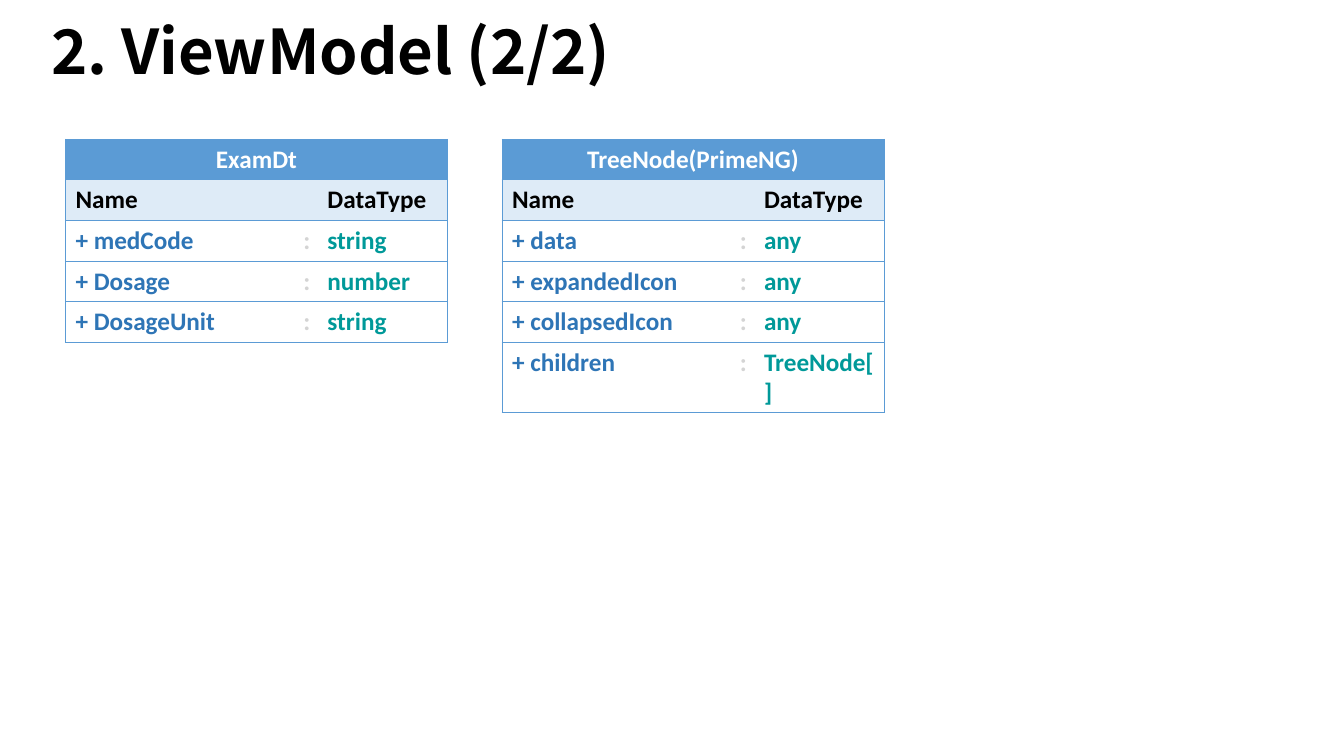
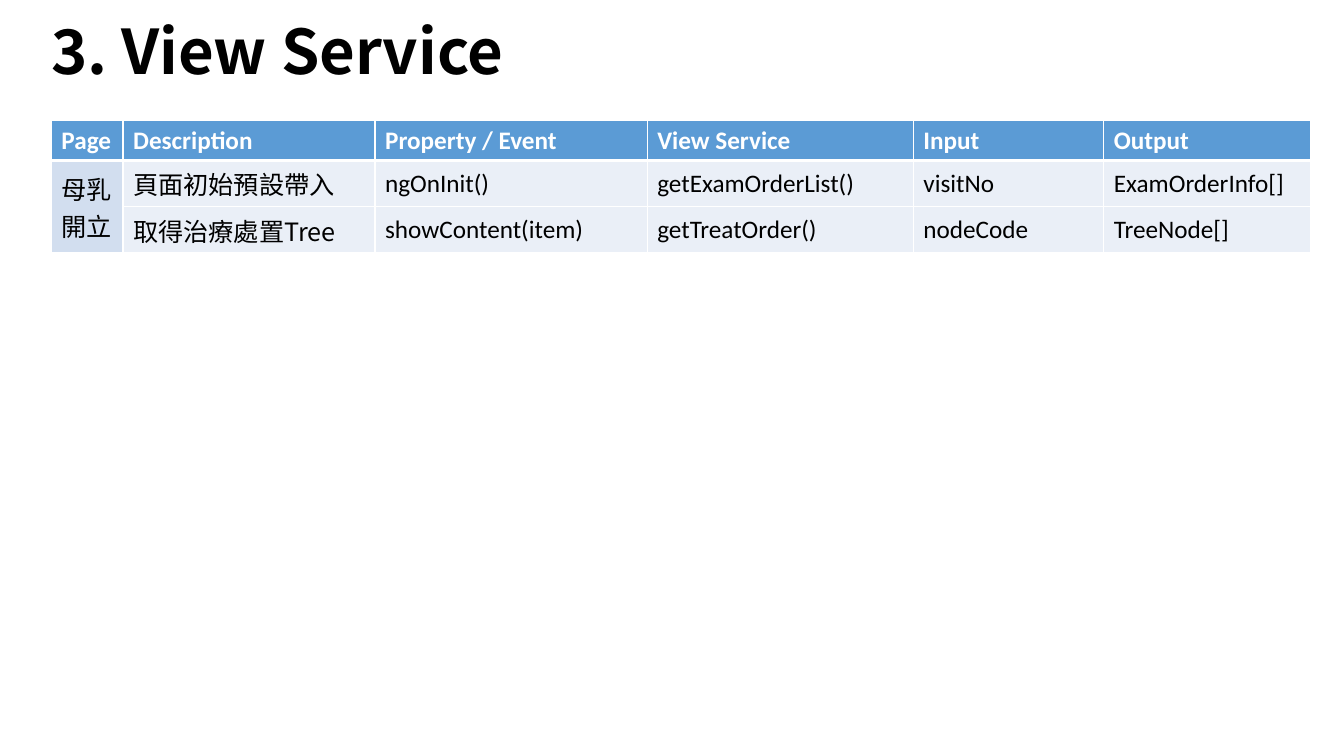
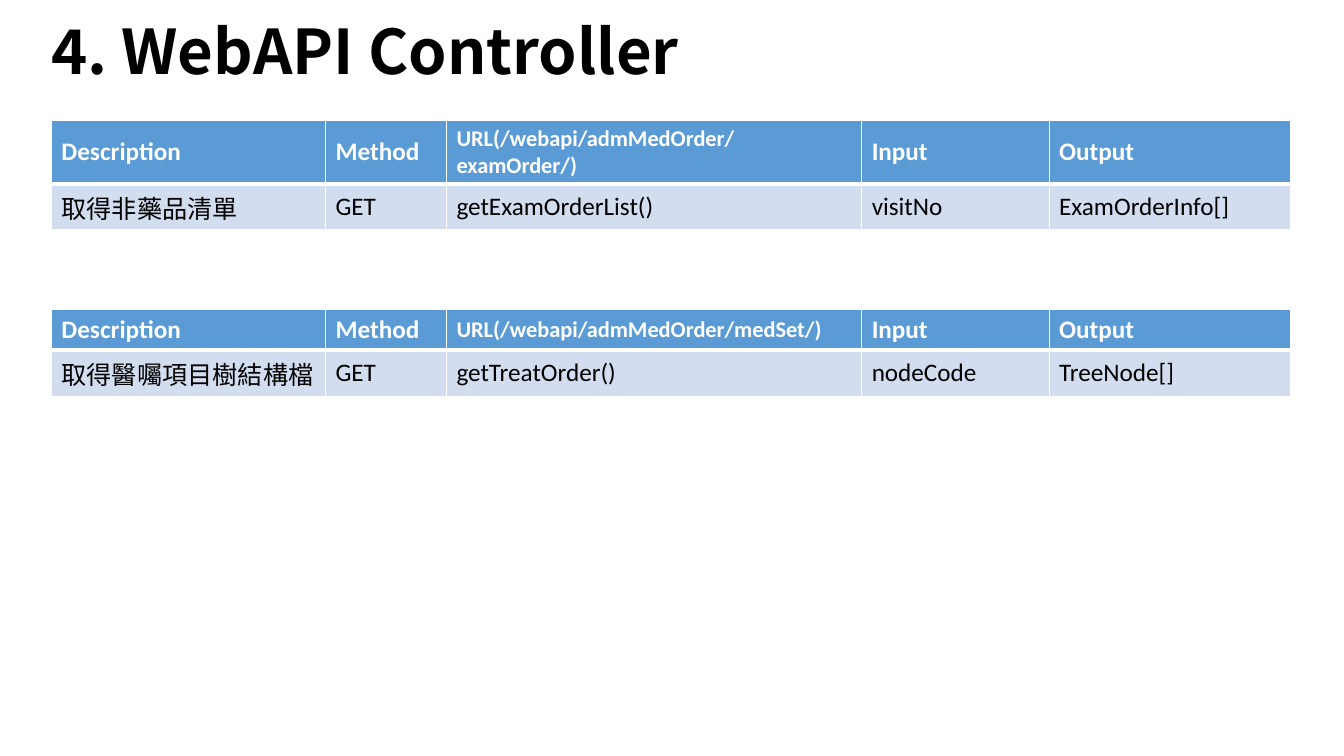
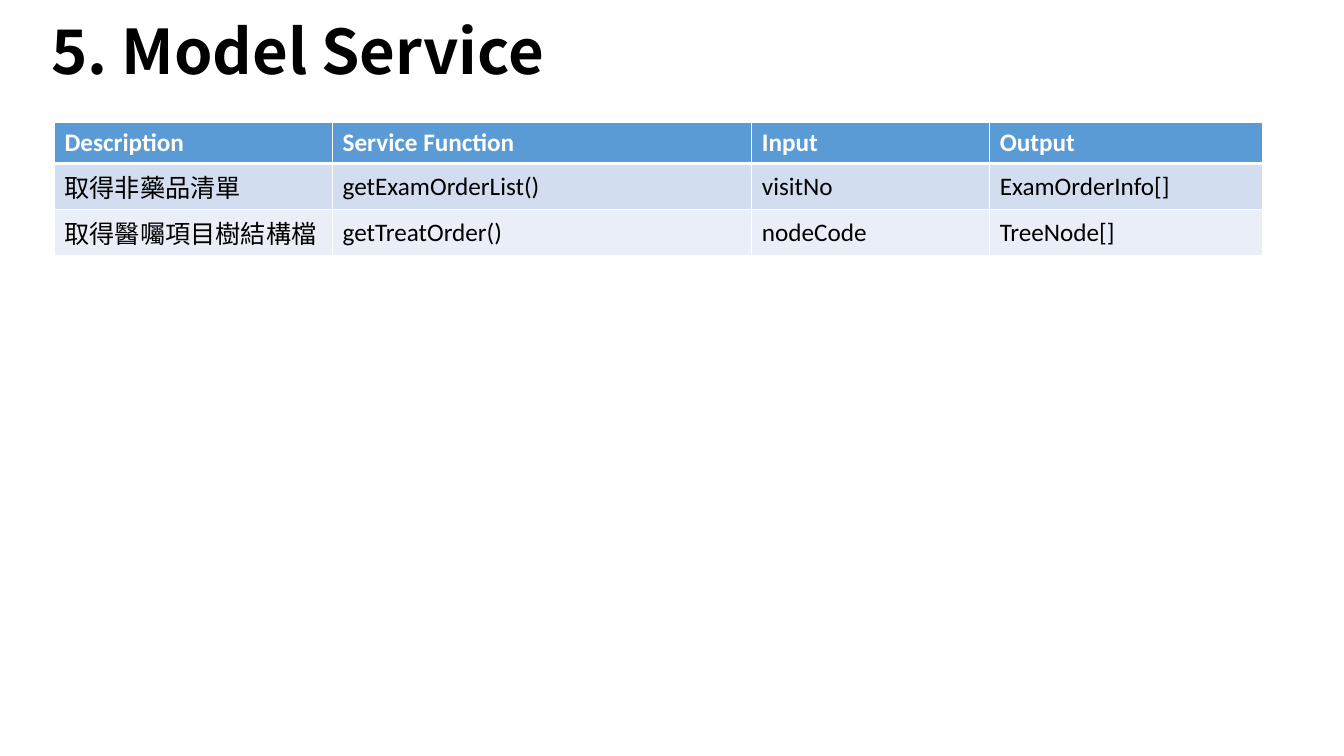
from lxml.etree import SubElement
from pptx import Presentation
from pptx.dml.color import RGBColor
from pptx.enum.text import MSO_ANCHOR as Anchor, PP_ALIGN as Align
from pptx.oxml.ns import qn
from pptx.util import Pt

LATIN, CJK = "Calibri", "Noto Sans CJK SC"
BLUE, DARK_BLUE, TEAL, GREY = "5B9BD5", "2E75B6", "009999", "D4D4D4"
HEADING, BAND, PALE = "DEEBF7", "D2DEEF", "EAEFF7"
WHITE, BLACK = "FFFFFF", "000000"
HEADER_HEIGHT, CLASS_ROW, SERVICE_ROW = 29, 29, 33
TABLE_LEFT, TABLE_TOP = 36.7, 85.7
API_WIDTHS = (195.8, 86.4, 296.6, 133.9, 172.8)


def rgb(value):
    return RGBColor.from_string(value)


def write(frame, text, size=18, font=LATIN, color=BLACK, bold=False,
          align=Align.LEFT, spacing=None):
    para = frame.paragraphs[0]
    para.alignment = align
    if spacing:
        para.line_spacing = spacing
    span = para.add_run()
    span.text = text
    span.font.size = Pt(size)
    span.font.name = font
    span.font.bold = bold
    span.font.color.rgb = rgb(color)
    SubElement(span.font._element, qn("a:ea"), typeface=font)


def set_borders(cell, color, left=0, right=0, top=0, bottom=0):
    """Draw the four sides with widths in points; 0 hides a side."""
    props = cell._tc.get_or_add_tcPr()
    for side, width in zip("LRTB", (left, right, top, bottom)):
        line = SubElement(props, qn(f"a:ln{side}"), w=str(Pt(width)))
        if width:
            fill = SubElement(line, qn("a:solidFill"))
            SubElement(fill, qn("a:srgbClr"), val=color)
        else:
            SubElement(line, qn("a:noFill"))


def set_fill(cell, color):
    if color:
        cell.fill.solid()
        cell.fill.fore_color.rgb = rgb(color)
    else:
        cell.fill.background()


def add_grid(page, left, top, widths, heights):
    """Add a plain table with the given column widths and row heights."""
    table = page.shapes.add_table(
        len(heights), len(widths), Pt(left), Pt(top),
        Pt(sum(widths)), Pt(sum(heights))).table
    table.first_row = table.horz_banding = False
    for column, width in zip(table.columns, widths):
        column.width = Pt(width)
    for row, height in zip(table.rows, heights):
        row.height = Pt(height)
    return table


def add_class_table(page, left, top, name, members):
    rows = [(name, "", ""), ("Name", "", "DataType")]
    rows += [(f"+ {member}", ":", kind) for member, kind in members]
    table = add_grid(page, left, top, (162.7, 16.6, 92.9), [CLASS_ROW] * len(rows))
    table.cell(0, 0).merge(table.cell(0, 2))
    for r, texts in enumerate(rows):
        fill = {0: BLUE, 1: HEADING}.get(r)
        colors = {0: (WHITE,) * 3, 1: (BLACK,) * 3}.get(r, (DARK_BLUE, GREY, TEAL))
        for c, text in enumerate(texts):
            cell = table.cell(r, c)
            set_borders(cell, BLUE, left=0.5 * (c == 0),
                        right=0.5 * (c == 2 or r == 0), top=0.5, bottom=0.5)
            set_fill(cell, fill)
            if text:
                write(cell.text_frame, text, color=colors[c], bold=True,
                      align=Align.LEFT if r else Align.CENTER)


def add_service_table(page, left, top, widths, headers, rows,
                      bands=(BAND, PALE), one_page=False):
    """Add a table with a blue header; one_page joins the first column's body."""
    heights = [HEADER_HEIGHT] + [SERVICE_ROW] * len(rows)
    table = add_grid(page, left, top, widths, heights)
    if one_page:
        table.cell(1, 0).merge(table.cell(len(rows), 0))
    for r, texts in enumerate([headers, *rows]):
        for c, text in enumerate(texts):
            cell = table.cell(r, c)
            cell.vertical_anchor = Anchor.MIDDLE
            set_borders(cell, WHITE, left=1, right=1,
                        top=3 if r == 1 else 1, bottom=1 if r else 3)
            if r == 0:
                set_fill(cell, BLUE)
                write(cell.text_frame, text, color=WHITE, bold=True,
                      size=16 if text.startswith("URL") else 18)
                continue
            set_fill(cell, BAND if one_page and c == 0 else bands[(r - 1) % len(bands)])
            if text:
                is_cjk = any(letter >= "一" for letter in text)
                write(cell.text_frame, text, font=CJK if is_cjk else LATIN)


def add_page(deck, title):
    page = deck.slides.add_slide(deck.slide_layouts[6])
    box = page.shapes.add_textbox(Pt(29.5), Pt(-7.2), Pt(669.6), Pt(92.2))
    frame = box.text_frame
    frame.word_wrap = True
    frame.vertical_anchor = Anchor.MIDDLE
    write(frame, title, size=44, font=CJK, bold=True, spacing=0.9)
    return page


def add_view_model(deck):
    page = add_page(deck, "2. ViewModel (2/2)")
    add_class_table(page, 358.6, 99.4, "TreeNode(PrimeNG)", [
        ("data", "any"), ("expandedIcon", "any"),
        ("collapsedIcon", "any"), ("children", "TreeNode[]")])
    add_class_table(page, 46.8, 99.4, "ExamDt", [
        ("medCode", "string"), ("Dosage", "number"), ("DosageUnit", "string")])


def add_view_service(deck):
    page = add_page(deck, "3. View Service")
    add_service_table(
        page, TABLE_LEFT, TABLE_TOP, (51.2, 180, 194.4, 190.1, 136.1, 147.6),
        ("Page", "Description", "Property / Event", "View Service", "Input", "Output"),
        [("母乳開立", "頁面初始預設帶入", "ngOnInit()", "getExamOrderList()",
          "visitNo", "ExamOrderInfo[]"),
         ("", "取得治療處置Tree", "showContent(item)", "getTreatOrder()",
          "nodeCode", "TreeNode[]")],
        bands=(PALE,), one_page=True)


def add_web_api(deck):
    page = add_page(deck, "4. WebAPI Controller")
    for top, folder, row in (
            (TABLE_TOP, "examOrder",
             ("取得非藥品清單", "GET", "getExamOrderList()", "visitNo", "ExamOrderInfo[]")),
            (221, "medSet",
             ("取得醫囑項目樹結構檔", "GET", "getTreatOrder()", "nodeCode", "TreeNode[]"))):
        headers = ("Description", "Method", f"URL(/webapi/admMedOrder/{folder}/)",
                   "Input", "Output")
        add_service_table(page, TABLE_LEFT, top, API_WIDTHS, headers, [row])


def add_model_service(deck):
    page = add_page(deck, "5. Model Service")
    add_service_table(
        page, 38.9, 87.8, (198.7, 299.5, 169.9, 195.1),
        ("Description", "Service Function", "Input", "Output"),
        [("取得非藥品清單", "getExamOrderList()", "visitNo", "ExamOrderInfo[]"),
         ("取得醫囑項目樹結構檔", "getTreatOrder()", "nodeCode", "TreeNode[]")])


def main():
    deck = Presentation()
    deck.slide_width, deck.slide_height = Pt(960), Pt(540)
    add_view_model(deck)
    add_view_service(deck)
    add_web_api(deck)
    add_model_service(deck)
    deck.save("out.pptx")


if __name__ == "__main__":
    main()
